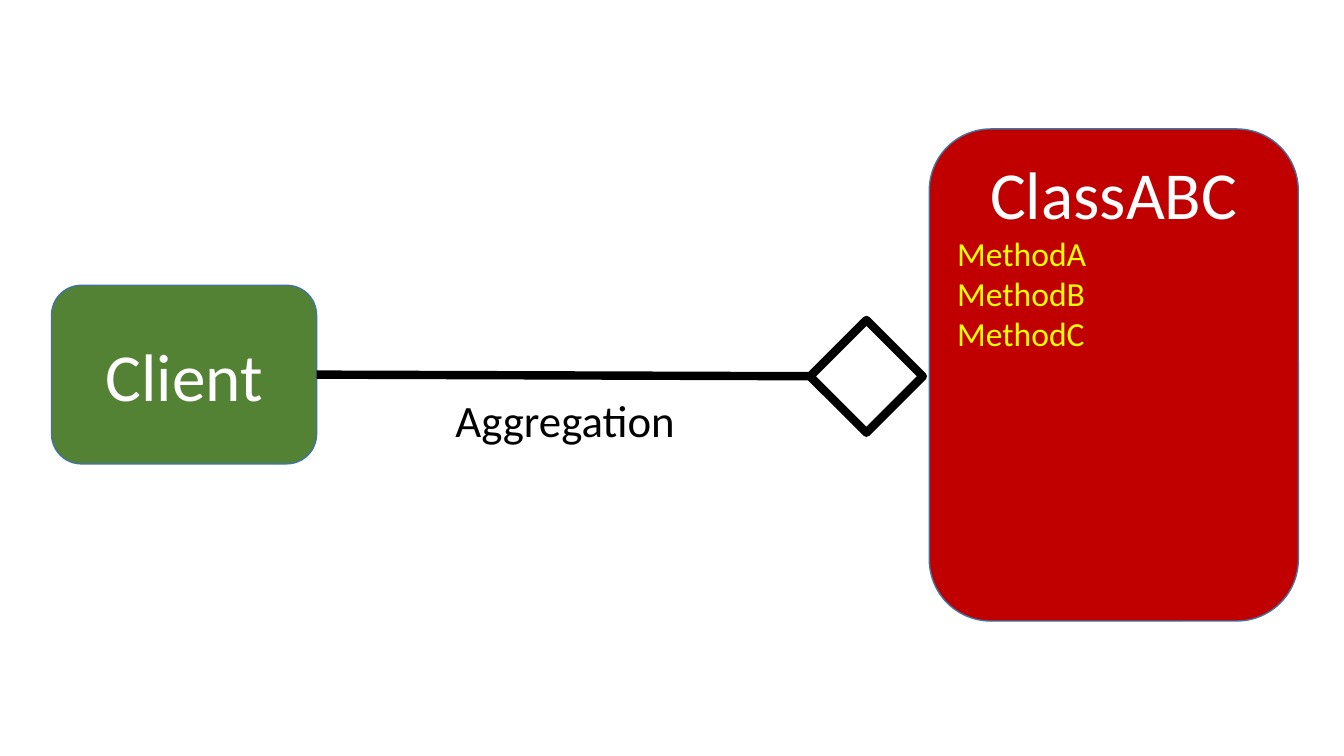
from dataclasses import dataclass

import pptx
import pptx.dml.color
import pptx.enum.shapes
import pptx.enum.text
import pptx.oxml.ns
import pptx.presentation
import pptx.shapes.autoshape
import pptx.shapes.connector
import pptx.slide
import pptx.util
from lxml import etree

Cm = pptx.util.Cm
Pt = pptx.util.Pt
RGBColor = pptx.dml.color.RGBColor
SHAPE = pptx.enum.shapes.MSO_SHAPE
ALIGN = pptx.enum.text.PP_ALIGN
ANCHOR = pptx.enum.text.MSO_ANCHOR


@dataclass(frozen=True)
class Theme:
    font: str = "Calibri"
    name_size: int = 48
    label_size: int = 32
    method_size: int = 24
    edge_width: int = 1
    relation_width: int = 6
    client: RGBColor = RGBColor(0x54, 0x82, 0x35)
    target: RGBColor = RGBColor(0xC0, 0x00, 0x00)
    edge: RGBColor = RGBColor(0x43, 0x73, 0x9E)
    name: RGBColor = RGBColor(0xFF, 0xFF, 0xFF)
    method: RGBColor = RGBColor(0xFF, 0xFF, 0x00)
    relation: RGBColor = RGBColor(0x00, 0x00, 0x00)


THEME = Theme()


@dataclass(frozen=True)
class ClassBox:
    """A class in the diagram; lengths are centimetres."""
    name: str
    left: float
    top: float
    width: float
    height: float
    fill: RGBColor
    anchor: ANCHOR
    methods: tuple[str, ...] = ()


CLIENT = ClassBox("Client", 1.3, 7.19, 6.68, 4.5, THEME.client, ANCHOR.MIDDLE)
TARGET = ClassBox("ClassABC", 23.42, 3.25, 9.3, 12.4, THEME.target, ANCHOR.TOP,
                  ("MethodA", "MethodB", "MethodC"))


def write(p, text: str, size: int, color: RGBColor, align: ALIGN = ALIGN.LEFT) -> None:
    """Fill one paragraph with text in the theme font."""
    p.text = text
    p.alignment = align
    p.font.name = THEME.font
    p.font.size = Pt(size)
    p.font.color.rgb = color


def set_line(s, color: RGBColor, width: int) -> None:
    s.line.color.rgb = color
    s.line.width = Pt(width)


def add_class(slide: pptx.slide.Slide, box: ClassBox) -> pptx.shapes.autoshape.Shape:
    s = slide.shapes.add_shape(SHAPE.ROUNDED_RECTANGLE, Cm(box.left), Cm(box.top),
                               Cm(box.width), Cm(box.height))
    s.shadow.inherit = False
    s.fill.solid()
    s.fill.fore_color.rgb = box.fill
    set_line(s, THEME.edge, THEME.edge_width)
    tf = s.text_frame
    tf.word_wrap = True
    tf.vertical_anchor = box.anchor
    write(tf.paragraphs[0], box.name, THEME.name_size, THEME.name, ALIGN.CENTER)
    for method in box.methods:
        write(tf.add_paragraph(), method, THEME.method_size, THEME.method)
    return s


def add_relation(slide: pptx.slide.Slide, source: pptx.shapes.autoshape.Shape) -> None:
    """Draw the line from the source's right side and its hollow diamond."""
    line = slide.shapes.add_connector(pptx.enum.shapes.MSO_CONNECTOR.STRAIGHT,
                                      Cm(7.98), Cm(9.44), Cm(20.42), Cm(9.48))
    line.begin_connect(source, 3)
    set_line(line, THEME.relation, THEME.relation_width)
    etree.SubElement(line._element.spPr, pptx.oxml.ns.qn("a:effectLst"))

    diamond = slide.shapes.add_shape(SHAPE.RECTANGLE, Cm(20.83), Cm(8.48), Cm(2.01), Cm(2.01))
    diamond.rotation = 45
    diamond.shadow.inherit = False
    diamond.fill.background()
    set_line(diamond, THEME.relation, THEME.relation_width)


def add_label(slide: pptx.slide.Slide, text: str) -> None:
    tf = slide.shapes.add_textbox(Cm(11.23), Cm(9.78), Cm(6.12), Cm(1.63)).text_frame
    tf.word_wrap = False
    tf.auto_size = pptx.enum.text.MSO_AUTO_SIZE.SHAPE_TO_FIT_TEXT
    write(tf.paragraphs[0], text, THEME.label_size, THEME.relation)


def main() -> None:
    prs = pptx.Presentation()
    prs.slide_width, prs.slide_height = Cm(33.87), Cm(19.05)
    slide = prs.slides.add_slide(prs.slide_layouts[6])
    client = add_class(slide, CLIENT)
    add_class(slide, TARGET)
    add_relation(slide, client)
    add_label(slide, "Aggregation")
    prs.save("out.pptx")


if __name__ == "__main__":
    main()
